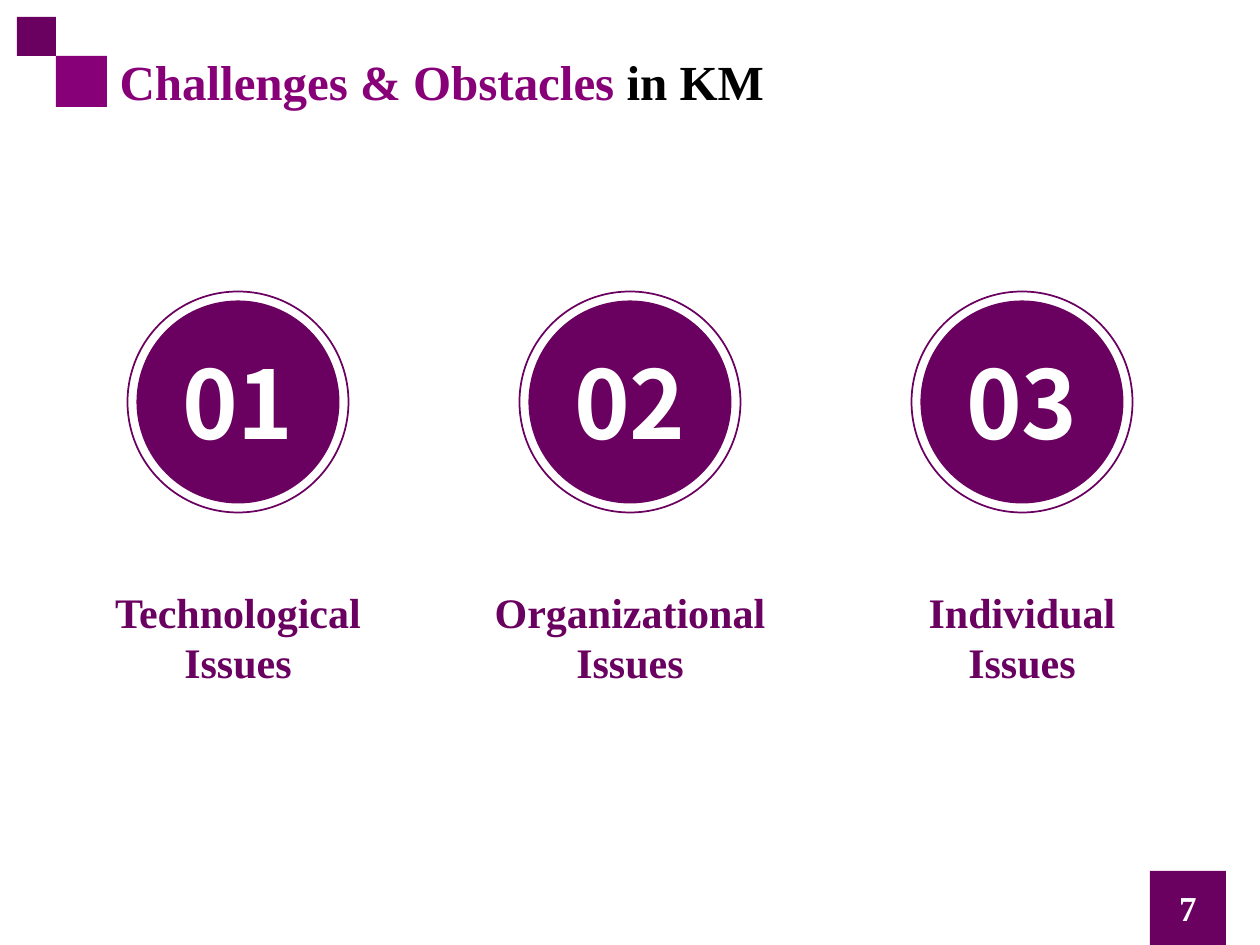
import pptx
import pptx.util
from pptx.dml.color import RGBColor
from pptx.enum.shapes import MSO_SHAPE
from pptx.enum.text import MSO_ANCHOR, MSO_AUTO_SIZE, PP_ALIGN

# Content
TITLE = [("Challenges & Obstacles", RGBColor(0x87, 0x00, 0x78)),
         (" in KM", RGBColor(0x00, 0x00, 0x00))]
CHALLENGES = [  # number, label lines, label width
    ("01", ["Technological", "Issues"], 273),
    ("02", ["Organizational", "Issues"], 299),
    ("03", ["Individual", "Issues"], 214),
]
PAGE_NUMBER = "7"

# Style
PURPLE = RGBColor(0x6A, 0x00, 0x5F)
BRIGHT_PURPLE = RGBColor(0x87, 0x00, 0x78)
WHITE = RGBColor(0xFF, 0xFF, 0xFF)
SERIF = "Times New Roman"
SANS = "Noto Sans CJK SC"

# Layout in px, 126 to the inch
SLIDE_WIDTH, SLIDE_HEIGHT = 1260, 945
COLUMN_PITCH = 392
CIRCLE_CENTER_Y = 402
DISC_SIZE, RING_SIZE = 203, 221
LABEL_TOP, LABEL_HEIGHT = 580, 115
SQUARES = [
    (1150, 871, 76, 74, PURPLE),
    (56, 56, 51, 51, BRIGHT_PURPLE),
    (17, 17, 39, 39, PURPLE),
]


def px(*lengths):
    return [pptx.util.Emu(round(length * 914400 / 126)) for length in lengths]


def add_shape(slide, kind, box, fill=None, line=None):
    shape = slide.shapes.add_shape(kind, *px(*box))
    shape.shadow.inherit = False
    if fill is None:
        shape.fill.background()
    else:
        shape.fill.solid()
        shape.fill.fore_color.rgb = fill
    if line is None:
        shape.line.fill.background()
    else:
        shape.line.color.rgb = line
        shape.line.width = pptx.util.Pt(1)
    return shape


def set_font(paragraph, name, size, color=None):
    paragraph.font.name = name
    paragraph.font.size = pptx.util.Pt(size)
    paragraph.font.bold = True
    if color is not None:
        paragraph.font.color.rgb = color


def write_centered(frame, lines, name, size, color):
    frame.text = "\n".join(lines)
    for paragraph in frame.paragraphs:
        paragraph.alignment = PP_ALIGN.CENTER
        set_font(paragraph, name, size, color)


def add_title(slide):
    title = slide.shapes.title
    title.left, title.top, title.width, title.height = px(107, 45, 1120, 72)
    frame = title.text_frame
    frame.word_wrap = True
    frame.auto_size = MSO_AUTO_SIZE.NONE
    frame.vertical_anchor = MSO_ANCHOR.MIDDLE
    paragraph = frame.paragraphs[0]
    paragraph.alignment = PP_ALIGN.LEFT
    set_font(paragraph, SERIF, 28)
    for text, color in TITLE:
        run = paragraph.add_run()
        run.text = text
        run.font.color.rgb = color


def add_challenge(slide, center_x, number, lines, label_width):
    def circle_box(size):
        return center_x - size / 2, CIRCLE_CENTER_Y - size / 2, size, size

    # Numbered disc inside a thin ring
    disc = add_shape(slide, MSO_SHAPE.OVAL, circle_box(DISC_SIZE), fill=PURPLE)
    disc.text_frame.vertical_anchor = MSO_ANCHOR.MIDDLE
    write_centered(disc.text_frame, [number], SANS, 54, WHITE)
    add_shape(slide, MSO_SHAPE.OVAL, circle_box(RING_SIZE), line=PURPLE)

    # Label below
    label = slide.shapes.add_textbox(
        *px(center_x - label_width / 2, LABEL_TOP, label_width, LABEL_HEIGHT))
    label.text_frame.word_wrap = False
    label.text_frame.auto_size = MSO_AUTO_SIZE.SHAPE_TO_FIT_TEXT
    write_centered(label.text_frame, lines, SERIF, 24, PURPLE)


def main():
    presentation = pptx.Presentation()
    presentation.slide_width, presentation.slide_height = px(SLIDE_WIDTH, SLIDE_HEIGHT)
    slide = presentation.slides.add_slide(presentation.slide_layouts[5])

    # Decorative squares
    for *box, color in SQUARES:
        add_shape(slide, MSO_SHAPE.RECTANGLE, box, fill=color)

    add_title(slide)

    # Columns, spread evenly around the middle of the slide
    for index, challenge in enumerate(CHALLENGES):
        offset = index - (len(CHALLENGES) - 1) / 2
        add_challenge(slide, SLIDE_WIDTH / 2 + offset * COLUMN_PITCH, *challenge)

    # Page number
    page = slide.shapes.add_textbox(*px(1116, 883, 144, 50))
    page.text_frame.word_wrap = True
    page.text_frame.vertical_anchor = MSO_ANCHOR.MIDDLE
    write_centered(page.text_frame, [PAGE_NUMBER], SERIF, 20, WHITE)

    presentation.save("out.pptx")


if __name__ == "__main__":
    main()
